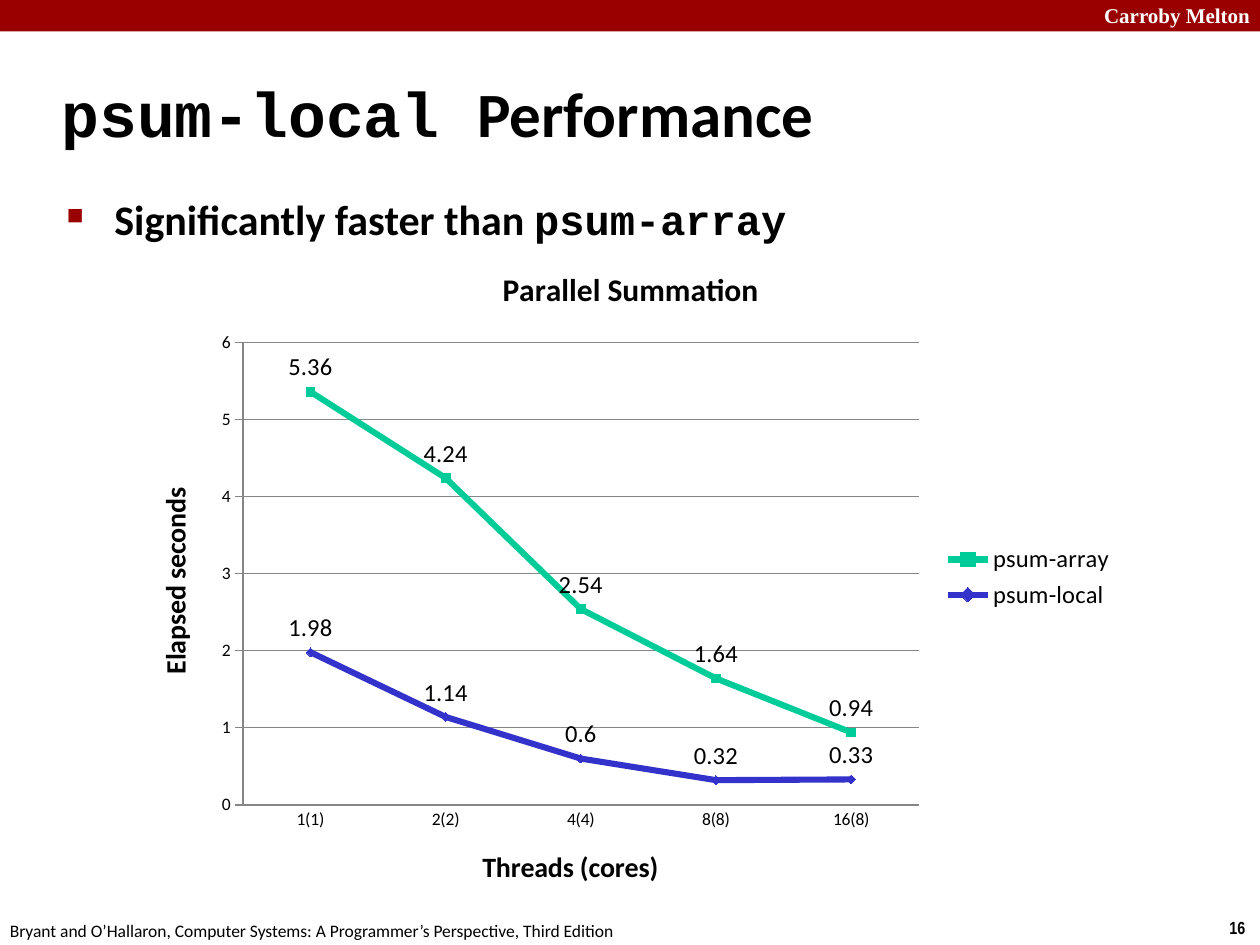
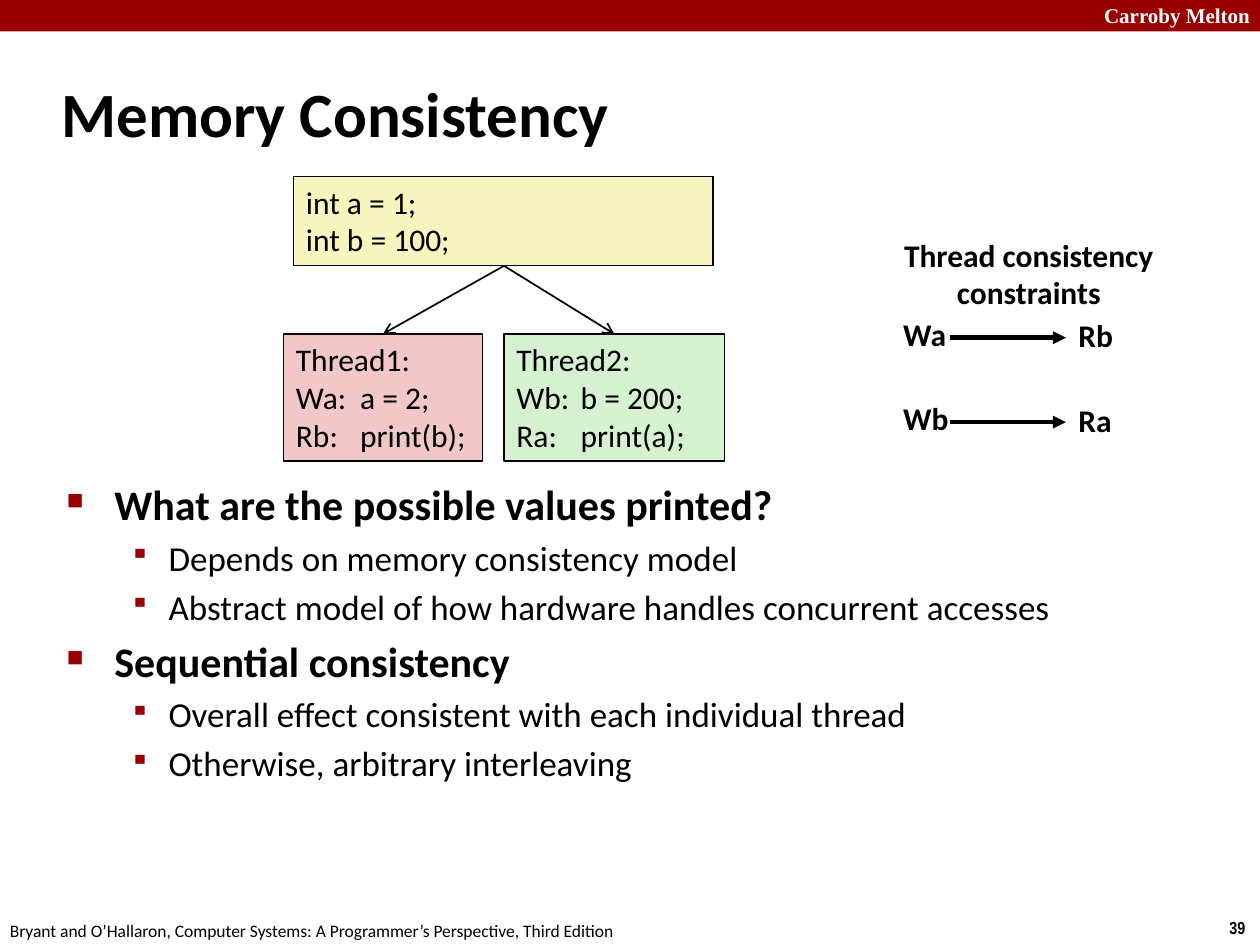
from collections import namedtuple

from lxml.etree import SubElement
from pptx import Presentation
from pptx.chart.data import CategoryChartData
from pptx.dml.color import RGBColor
from pptx.enum.chart import XL_CHART_TYPE as ChartType
from pptx.enum.chart import XL_LABEL_POSITION as LabelPosition
from pptx.enum.chart import XL_LEGEND_POSITION as LegendPosition
from pptx.enum.chart import XL_MARKER_STYLE as Marker
from pptx.enum.chart import XL_TICK_MARK as TickMark
from pptx.enum.shapes import MSO_CONNECTOR as Connector
from pptx.enum.shapes import MSO_SHAPE as Shape
from pptx.enum.text import MSO_ANCHOR as Anchor
from pptx.enum.text import PP_ALIGN as Align
from pptx.oxml.ns import qn
from pptx.util import Inches, Pt

Box = namedtuple("Box", "left top width height")
BulletLevel = namedtuple("BulletLevel", "size bold margin hanging char percent")

RED, BLACK, WHITE, GRAY = "990000", "000000", "FFFFFF", "868686"
YELLOW, PINK, GREEN = "F6F5BD", "F1C7C7", "D5F1CF"
SANS, CODE = "Calibri", "Courier New"
BAND_TEXT = "Carroby Melton"
FOOTER = ("Bryant and O’Hallaron, Computer Systems: "
          "A Programmer’s Perspective, Third Edition")
LEVELS = [BulletLevel(24, True, 0.38, 0.38, "■", 55),
          BulletLevel(20, False, 0.81, 0.31, "▪", 80)]


def color(value):
    return RGBColor.from_string(value)


def inches(*lengths):
    return [Inches(length) for length in lengths]


def set_values(target, values):
    for name, value in values.items():
        setattr(target, name, value)


def set_font(font, size, name=SANS, bold=False, hue=BLACK):
    set_values(font, {"size": Pt(size), "name": name, "bold": bold})
    font.color.rgb = color(hue)


def set_line(line, hue, width):
    line.color.rgb = color(hue)
    line.width = Pt(width)


def fill_paragraph(paragraph, runs, size, bold=False, hue=BLACK):
    for text, font_name in runs:
        run = paragraph.add_run()
        run.text = text
        set_font(run.font, size, font_name, bold, hue)


def add_paragraphs(frame, count):
    return [frame.paragraphs[0]] + [frame.add_paragraph() for _ in range(count - 1)]


def add_text(slide, box, lines, size, bold=False, hue=BLACK, font_name=SANS,
             align=Align.LEFT):
    frame = slide.shapes.add_textbox(*inches(*box)).text_frame
    frame.word_wrap = False
    for paragraph, line in zip(add_paragraphs(frame, len(lines)), lines):
        paragraph.alignment = align
        fill_paragraph(paragraph, [(line, font_name)], size, bold, hue)


def add_rectangle(slide, box, fill):
    shape = slide.shapes.add_shape(Shape.RECTANGLE, *inches(*box))
    shape.shadow.inherit = False
    shape.fill.solid()
    shape.fill.fore_color.rgb = color(fill)
    return shape


def add_arrow(slide, start, end, width, head):
    connector = slide.shapes.add_connector(
        Connector.STRAIGHT, *inches(*start, *end))
    set_line(connector.line, BLACK, width)
    properties = connector._element.spPr
    SubElement(properties.find(qn("a:ln")), qn("a:tailEnd"), type=head)
    SubElement(properties, qn("a:effectLst"))


def add_frame(slide, number):
    band = add_rectangle(slide, Box(0, 0, 10, 0.25), RED)
    band.line.fill.background()
    add_text(slide, Box(8.64, -0.03, 1.38, 0.3), [BAND_TEXT], 12, True, WHITE,
             "Times New Roman", Align.RIGHT)
    add_text(slide, Box(9.66, 7.23, 0.34, 0.27), [str(number)], 10, True,
             font_name="Arial Narrow")
    add_text(slide, Box(-0.02, 7.25, 5.08, 0.27), [FOOTER], 10)


def add_title(slide, runs):
    frame = slide.shapes.add_textbox(*inches(0.39, 0.48, 8.3, 0.83)).text_frame
    set_values(frame, {"word_wrap": True, "vertical_anchor": Anchor.MIDDLE})
    fill_paragraph(frame.paragraphs[0], runs, 36, True)


def add_bullets(slide, box, items):
    frame = slide.shapes.add_textbox(*inches(*box)).text_frame
    frame.word_wrap = True
    for paragraph, (depth, runs) in zip(add_paragraphs(frame, len(items)), items):
        level = LEVELS[depth]
        set_values(paragraph, {"level": depth, "space_before": Pt(level.size * 0.2)})
        fill_paragraph(paragraph, runs, level.size, level.bold)
        properties = paragraph._p.get_or_add_pPr()
        properties.set("marL", str(Inches(level.margin)))
        properties.set("indent", str(-Inches(level.hanging)))
        bullet_color = SubElement(properties, qn("a:buClr"))
        SubElement(bullet_color, qn("a:srgbClr"), val=RED)
        SubElement(properties, qn("a:buSzPct"), val=str(level.percent * 1000))
        SubElement(properties, qn("a:buChar"), char=level.char)


def set_chart_title(owner, text, size):
    frame = owner.text_frame
    frame.text = text
    set_font(frame.paragraphs[0].runs[0].font, size, bold=True)


def set_plot_layout(chart, box):
    plot_area = chart._chartSpace.chart.plotArea
    layout = plot_area.find(qn("c:layout"))
    if layout is None:
        layout = SubElement(plot_area, qn("c:layout"))
        plot_area.insert(0, layout)
    manual = SubElement(layout, qn("c:manualLayout"))
    values = {"layoutTarget": "inner", "xMode": "edge", "yMode": "edge",
              "x": box.left, "y": box.top, "w": box.width, "h": box.height}
    for name, value in values.items():
        SubElement(manual, qn(f"c:{name}"), val=str(value))


def style_series(series, hue, marker):
    series.smooth = False
    set_line(series.format.line, hue, 3.5)
    set_values(series.marker, {"style": marker, "size": 5})
    marker_format = series.marker.format
    marker_format.fill.solid()
    marker_format.fill.fore_color.rgb = color(hue)
    set_line(marker_format.line, hue, 0.75)
    labels = series.data_labels
    set_values(labels, {"show_value": True, "position": LabelPosition.ABOVE})
    set_font(labels.font, 14)


def add_timing_chart(slide, box):
    data = CategoryChartData()
    data.categories = ["1(1)", "2(2)", "4(4)", "8(8)", "16(8)"]
    data.add_series("psum-array", [5.36, 4.24, 2.54, 1.64, 0.94])
    data.add_series("psum-local", [1.98, 1.14, 0.6, 0.32, 0.33])
    chart = slide.shapes.add_chart(
        ChartType.LINE_MARKERS, *inches(*box), data).chart
    set_font(chart.font, 10)
    set_chart_title(chart.chart_title, "Parallel Summation", 18)
    set_plot_layout(chart, Box(0.11, 0.15, 0.68, 0.69))

    chart.has_legend = True
    set_values(chart.legend, {"position": LegendPosition.RIGHT,
                              "include_in_layout": False})
    set_font(chart.legend.font, 14)

    seconds = chart.value_axis
    set_values(seconds, {"minimum_scale": 0, "maximum_scale": 6, "major_unit": 1,
                         "has_major_gridlines": True})
    set_line(seconds.major_gridlines.format.line, GRAY, 0.75)
    for axis, text, tick in [(chart.category_axis, "Threads (cores)", TickMark.NONE),
                             (seconds, "Elapsed seconds", TickMark.OUTSIDE)]:
        set_chart_title(axis.axis_title, text, 16)
        set_values(axis, {"major_tick_mark": tick, "minor_tick_mark": TickMark.NONE})
        set_line(axis.format.line, GRAY, 0.75)

    plot = chart.plots[0]
    plot.vary_by_categories = False
    styles = [("00CC99", Marker.SQUARE), ("3333CC", Marker.DIAMOND)]
    for series, (hue, marker) in zip(plot.series, styles):
        style_series(series, hue, marker)


def add_code_box(slide, box, fill, lines):
    shape = add_rectangle(slide, box, fill)
    set_line(shape.line, BLACK, 0.75)
    frame = shape.text_frame
    set_values(frame, {"word_wrap": True, "vertical_anchor": Anchor.TOP})
    for paragraph, line in zip(add_paragraphs(frame, len(lines)), lines):
        paragraph.alignment = Align.LEFT
        fill_paragraph(paragraph, [(line, SANS)], 18)
        tabs = SubElement(paragraph._p.get_or_add_pPr(), qn("a:tabLst"))
        SubElement(tabs, qn("a:tab"), pos=str(Inches(0.51)), algn="l")


def add_thread_diagram(slide, box):
    shared = Box(box.left + 0.08, box.top, 3.33, 0.71)
    add_code_box(slide, shared, YELLOW, ["int a = 1;", "int b = 100;"])
    fork = (box.left + box.width / 2, shared.top + shared.height)
    thread_top = box.top + 1.25
    threads = [
        (0, 1.58, PINK, ["Thread1:", "Wa:\ta = 2;", "Rb: \tprint(b);"]),
        (1.75, 1.75, GREEN, ["Thread2:", "Wb:\tb = 200;", "Ra:\tprint(a);"]),
    ]
    for offset, width, fill, lines in threads:
        thread = Box(box.left + offset, thread_top, width, box.height - 1.25)
        add_code_box(slide, thread, fill, lines)
        add_arrow(slide, fork, (thread.left + width / 2, thread_top), 1, "arrow")


def add_constraints(slide, box):
    add_text(slide, Box(box.left, box.top, box.width, 0.71),
             ["Thread consistency", "constraints"], 18, True, align=Align.CENTER)
    for row, (before, after) in enumerate([("Wa", "Rb"), ("Wb", "Ra")]):
        top = box.top + 0.63 + row * 0.67
        add_text(slide, Box(box.left, top, 0.56, 0.4), [before], 18, True)
        add_text(slide, Box(box.left + 1.39, top + 0.01, 0.48, 0.4), [after], 18, True)
        line_top = top + 0.23
        add_arrow(slide, (box.left + 0.47, line_top), (box.left + 1.39, line_top),
                  2.5, "triangle")


def build_performance(slide):
    add_frame(slide, 16)
    add_title(slide, [("psum-local ", CODE), ("Performance", SANS)])
    add_bullets(slide, Box(0.43, 1.49, 8.64, 0.59),
                [(0, [("Significantly faster than ", SANS), ("psum-array", CODE)])])
    add_timing_chart(slide, Box(1.06, 1.92, 7.89, 5.32))


def build_consistency(slide):
    add_frame(slide, 39)
    add_title(slide, [("Memory Consistency", SANS)])
    items = [
        (0, "What are the possible values printed?"),
        (1, "Depends on memory consistency model"),
        (1, "Abstract model of how hardware handles concurrent accesses"),
        (0, "Sequential consistency"),
        (1, "Overall effect consistent with each individual thread"),
        (1, "Otherwise, arbitrary interleaving"),
    ]
    add_bullets(slide, Box(0.43, 3.75, 8.64, 3.18),
                [(depth, [(text, SANS)]) for depth, text in items])
    add_thread_diagram(slide, Box(2.25, 1.4, 3.5, 2.26))
    add_constraints(slide, Box(7.07, 1.82, 2.19, 1.71))


def main():
    presentation = Presentation()
    set_values(presentation, {"slide_width": Inches(10), "slide_height": Inches(7.5)})
    for build in (build_performance, build_consistency):
        build(presentation.slides.add_slide(presentation.slide_layouts[6]))
    presentation.save("out.pptx")


if __name__ == "__main__":
    main()
